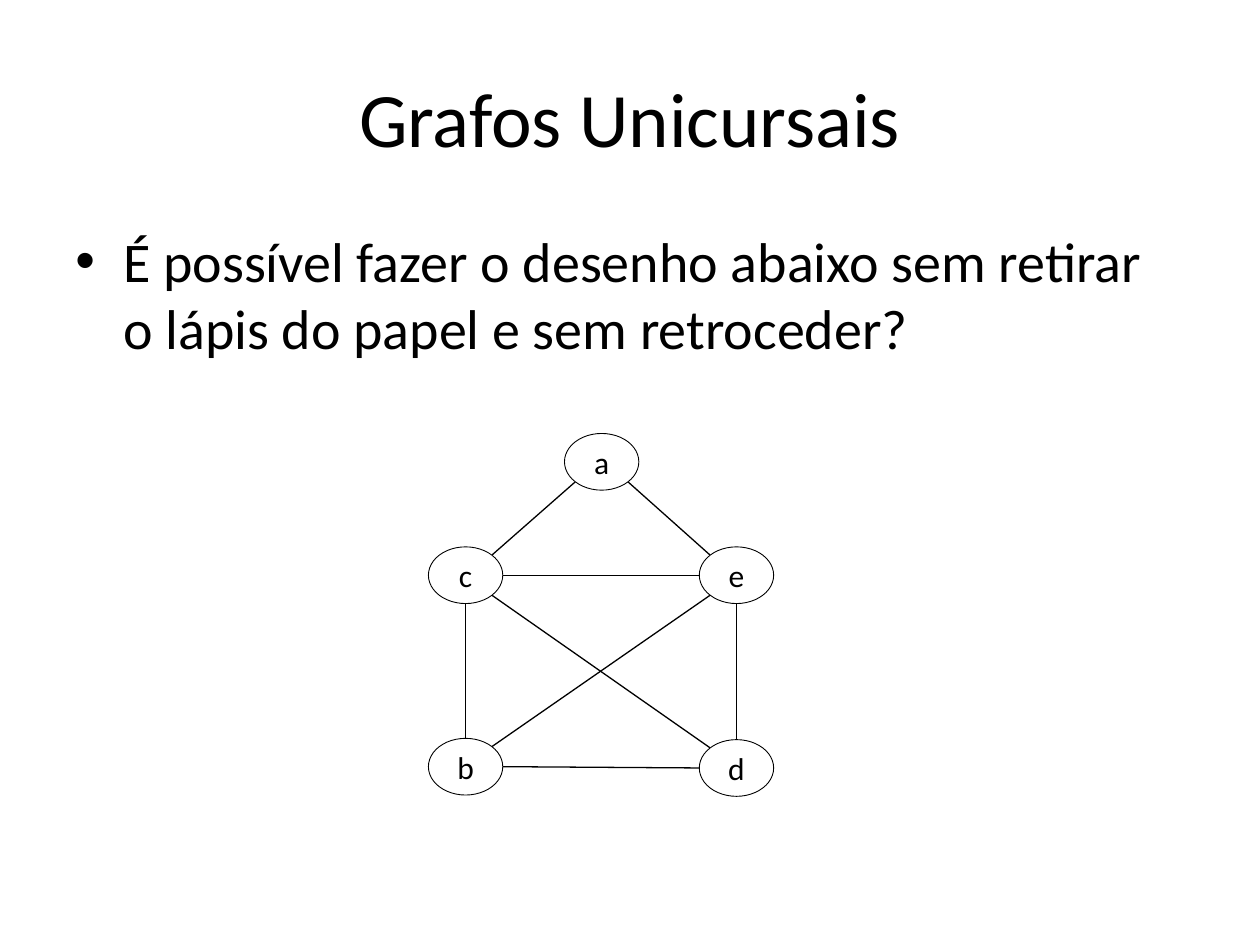
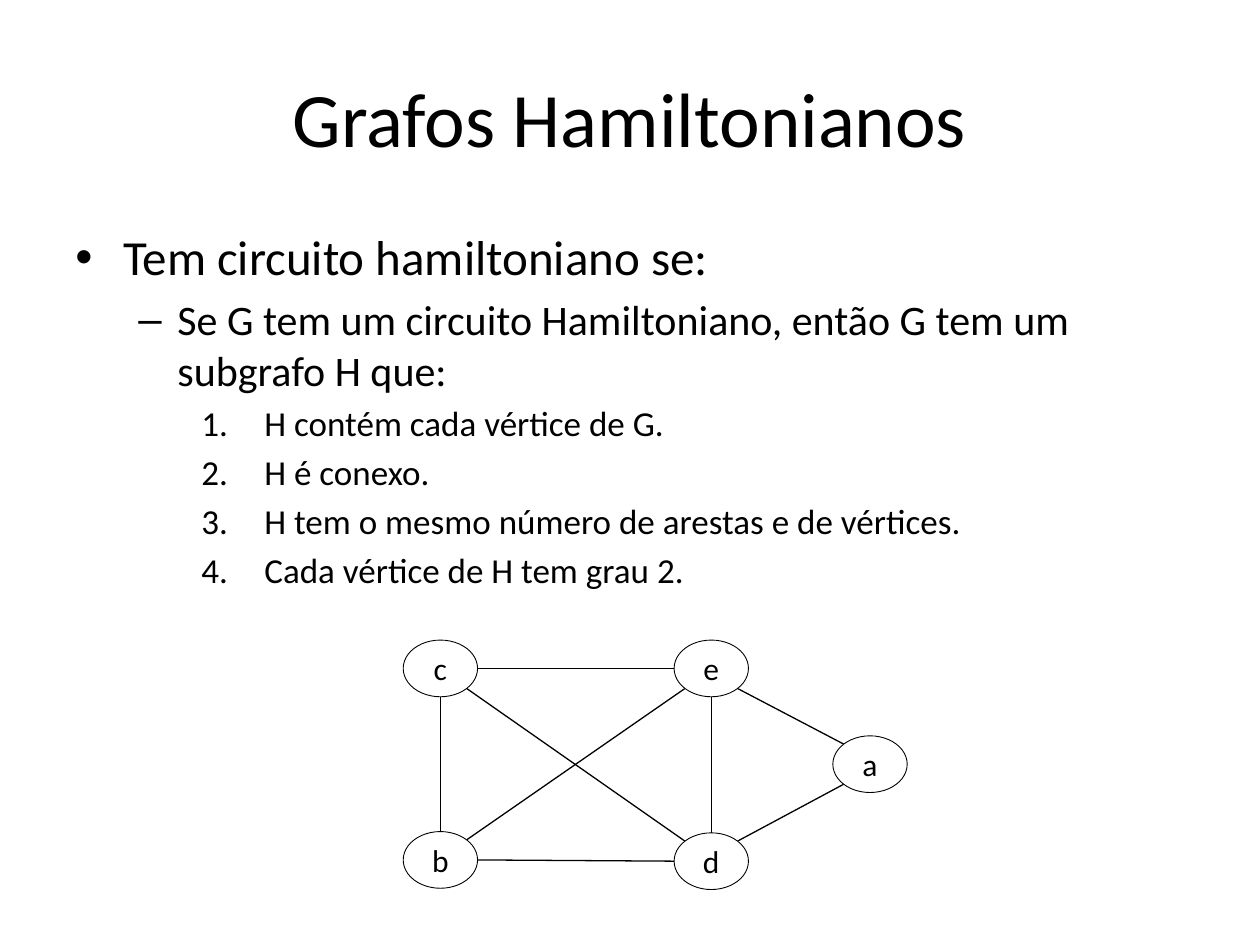
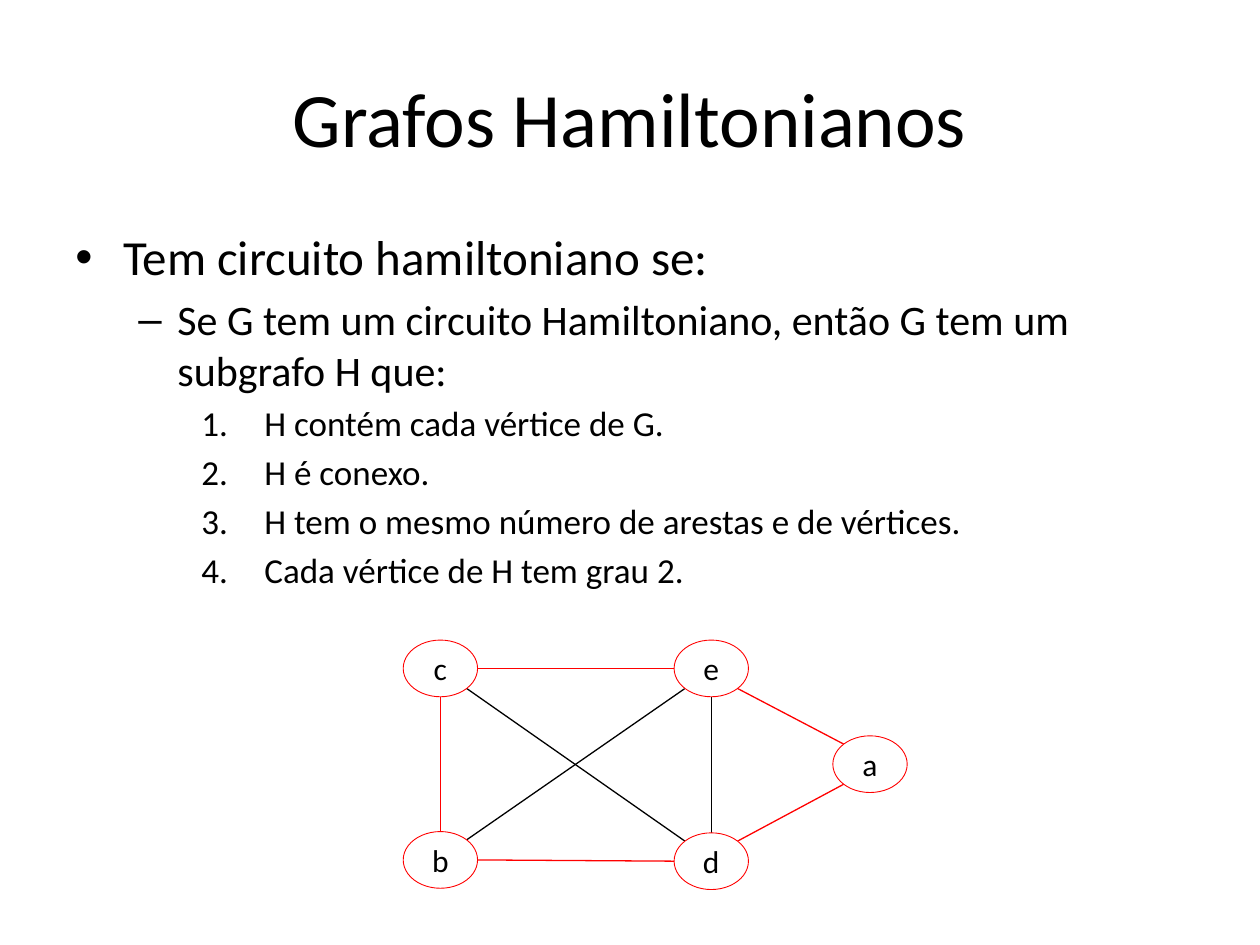
import dataclasses
import lxml.etree
import pptx
import pptx.dml.color
import pptx.enum.shapes
import pptx.enum.text
import pptx.oxml.ns
import pptx.util

Inches = pptx.util.Inches
Pt = pptx.util.Pt
RGB = pptx.dml.color.RGBColor
Align = pptx.enum.text.PP_ALIGN
Anchor = pptx.enum.text.MSO_ANCHOR
qn = pptx.oxml.ns.qn


@dataclasses.dataclass(frozen=True)
class Theme:
    font: str = "Calibri"
    ink: RGB = RGB(0, 0, 0)
    paper: RGB = RGB(255, 255, 255)
    mark: RGB = RGB(255, 0, 0)
    title: int = 44
    node: int = 18
    ring: float = 0.5
    edge: float = 0.75


theme = Theme()

# Bullet tag, its attributes, left margin and hanging indent for each level
levels = [
    ("a:buChar", {"char": "•"}, 0.38, 0.38),
    ("a:buChar", {"char": "–"}, 0.81, 0.31),
    ("a:buAutoNum", {"type": "arabicPeriod"}, 1.5, 0.5),
]

# Node width and height, and the diagonal point on an ellipse
wide, high, slant = 0.59, 0.45, 0.71

house = {"a": (4.48, 3.44), "c": (3.4, 4.34), "e": (5.55, 4.34),
         "b": (3.4, 5.86), "d": (5.55, 5.87)}
side = {name: (x - 0.2, y + 0.74) for name, (x, y) in house.items()}
side["a"] = (6.61, 5.84)

square = ["cb", "ce", "cd", "ed", "bd", "eb"]
cycle = ["cb", "ce", "ae", "ad", "bd"]

ask = [(0, 32, "É possível fazer o desenho abaixo sem retirar o lápis do papel "
               "e sem retroceder?")]
rules = [
    (0, 28, "Tem circuito hamiltoniano se:"),
    (1, 24, "Se G tem um circuito Hamiltoniano, então G tem um subgrafo H que:"),
    (2, 20, "H contém cada vértice de G."),
    (2, 20, "H é conexo."),
    (2, 20, "H tem o mesmo número de arestas e de vértices."),
    (2, 20, "Cada vértice de H tem grau 2."),
]

# Title, body, node places, edges, marked edges
pages = [
    ("Grafos Unicursais", ask, house, square + ["ac", "ae"], []),
    ("Grafos Hamiltonianos", rules, side, square + ["ad", "ae"], []),
    ("Grafos Hamiltonianos", rules, side, square + ["ad", "ae"], cycle),
]


def add_run(para, text, size):
    run = para.add_run()
    run.text = text
    run.font.name = theme.font
    run.font.size = Pt(size)
    run.font.color.rgb = theme.ink


def rim(place, other):
    """Return the point on the node at place that faces the other node."""
    turn = [0 if abs(b - a) < 0.05 else (1 if b > a else -1)
            for a, b in zip(place, other)]
    reach = slant if all(turn) else 1
    return [Inches(a + (1 + t * reach) * size / 2)
            for a, t, size in zip(place, turn, (wide, high))]


deck = pptx.Presentation()
deck.slide_width = Inches(10)
deck.slide_height = Inches(7.5)

for title, body, nodes, edges, marked in pages:
    slide = deck.slides.add_slide(deck.slide_layouts[6])
    slide.background.fill.solid()
    slide.background.fill.fore_color.rgb = theme.paper

    box = slide.shapes.add_textbox(Inches(0.5), Inches(0.3), Inches(9), Inches(1.25))
    box.text_frame.word_wrap = True
    box.text_frame.vertical_anchor = Anchor.MIDDLE
    para = box.text_frame.paragraphs[0]
    para.alignment = Align.CENTER
    add_run(para, title, theme.title)

    box = slide.shapes.add_textbox(Inches(0.5), Inches(1.75), Inches(9), Inches(4.95))
    frame = box.text_frame
    frame.word_wrap = True
    for i, (level, size, text) in enumerate(body):
        para = frame.add_paragraph() if i else frame.paragraphs[0]
        para.level = level
        tag, attrs, left, hang = levels[level]
        props = para._p.get_or_add_pPr()
        props.set("marL", str(Inches(left)))
        props.set("indent", str(-Inches(hang)))
        lxml.etree.SubElement(props, qn("a:buFont"), typeface="Arial")
        lxml.etree.SubElement(props, qn(tag), attrs)
        if i:
            para.space_before = Pt(size * 0.2)
        add_run(para, text, size)

    for edge in edges:
        start, end = nodes[edge[0]], nodes[edge[1]]
        line = slide.shapes.add_connector(
            pptx.enum.shapes.MSO_CONNECTOR.STRAIGHT, *rim(start, end), *rim(end, start))
        line.line.color.rgb = theme.mark if edge in marked else theme.ink
        line.line.width = Pt(theme.edge)
        lxml.etree.SubElement(line._element.spPr, qn("a:effectLst"))

    for name, (x, y) in nodes.items():
        node = slide.shapes.add_shape(
            pptx.enum.shapes.MSO_SHAPE.OVAL,
            Inches(x), Inches(y), Inches(wide), Inches(high))
        node.shadow.inherit = False
        node.fill.solid()
        node.fill.fore_color.rgb = theme.paper
        node.line.color.rgb = theme.mark if marked else theme.ink
        node.line.width = Pt(theme.ring)
        node.text_frame.vertical_anchor = Anchor.MIDDLE
        para = node.text_frame.paragraphs[0]
        para.alignment = Align.CENTER
        add_run(para, name, theme.node)

deck.save("out.pptx")
